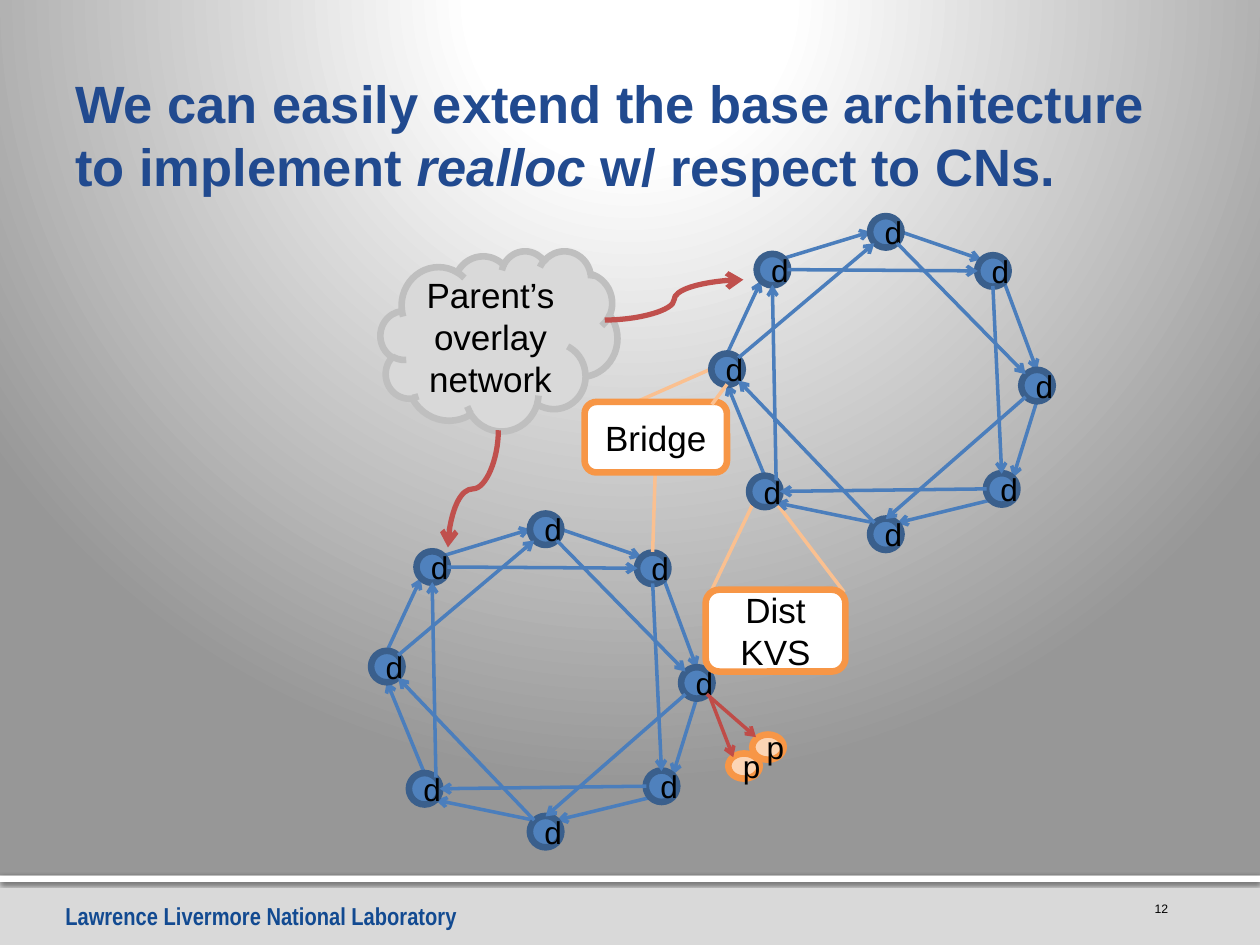
"""Build a slide showing two bridged overlay rings of daemons."""
from lxml.etree import SubElement
from pptx import Presentation
from pptx.dml.color import RGBColor
from pptx.enum.shapes import MSO_CONNECTOR as Connector, MSO_SHAPE as Shape
from pptx.enum.text import MSO_ANCHOR as Anchor, PP_ALIGN as Align
from pptx.oxml import parse_xml
from pptx.oxml.ns import nsdecls, qn
from pptx.util import Inches, Pt

COLUMNS, ROWS = 10, 7.5
CELL = Inches(1)
NODE = 0.25
BORDER = 3.78
COLORS = {
    "black": "000000", "white": "FFFFFF", "gray": "979797", "pale": "D9D9D9",
    "rim": "BFBFBF", "title": "214A8F", "footer": "124A91", "node": "4F81BD",
    "node_rim": "3A5F8C", "edge": "4B7EBC", "orange": "F79646",
    "link": "FAC090", "process": "FCD5B5", "curve": "C0504D", "spawn": "BF4C48",
}
NODES = {
    "n": (4.33, 4.2), "ne": (5.18, 4.51), "e": (5.53, 5.42), "se": (5.25, 6.24),
    "s": (4.33, 6.6), "sw": (3.37, 6.26), "w": (3.07, 5.29), "nw": (3.43, 4.5),
}
SITES = {
    "n": (0, -0.12), "ne": (0.09, -0.09), "e": (0.12, 0), "se": (0.09, 0.09),
    "s": (0, 0.12), "sw": (-0.09, 0.09), "w": (-0.12, 0), "nw": (-0.09, -0.09),
}
OUTER_EDGES = [
    ("n", "e", "ne", "nw"), ("ne", "se", "e", "n"), ("e", "s", "se", "ne"),
    ("se", "sw", "s", "ne"), ("s", "nw", "sw", "se"), ("sw", "n", "w", "s"),
    ("w", "n", "nw", "sw"), ("nw", "ne", "n", "w"),
]
INNER_EDGES = [
    ("n", "se", "e", "nw"), ("ne", "s", "se", "n"), ("e", "sw", "s", "n"),
    ("se", "w", "sw", "e"), ("s", "nw", "w", "se"), ("sw", "ne", "nw", "s"),
    ("w", "ne", "n", "sw"), ("nw", "e", "ne", "w"),
]


def color(name):
    """Return the named colour."""
    return RGBColor.from_string(COLORS[name])


def cells(*values):
    """Turn grid positions into slide lengths."""
    return [round(value * CELL) for value in values]


def write(shape, runs, size, ink="black", font="Arial", bold=False,
          align=Align.CENTER, anchor=Anchor.MIDDLE):
    """Write (text, italic) runs as one formatted paragraph."""
    frame = shape.text_frame
    frame.word_wrap = True
    frame.vertical_anchor = anchor
    paragraph = frame.paragraphs[0]
    paragraph.alignment = align
    for text, italic in runs:
        run = paragraph.add_run()
        run.text = text
        run.font.size = Pt(size)
        run.font.name = font
        run.font.bold = bold
        run.font.italic = italic
        run.font.color.rgb = color(ink)
    return frame


def add_text(slide, box, runs, size, **formatting):
    """Add a text box."""
    return write(slide.shapes.add_textbox(*cells(*box)), runs, size, **formatting)


def add_shape(slide, kind, box, fill, rim=None, text=None, size=20):
    """Add a filled preset shape with an optional rim and label."""
    shape = slide.shapes.add_shape(kind, *cells(*box))
    shape.shadow.inherit = False
    shape.fill.solid()
    shape.fill.fore_color.rgb = color(fill)
    if rim:
        shape.line.color.rgb = color(rim)
        shape.line.width = Pt(BORDER)
    else:
        shape.line.fill.background()
    if text:
        write(shape, [(text, False)], size)
    return shape


def add_line(slide, start, end, ink, width=2, arrow=True, kind=Connector.STRAIGHT):
    """Add a connector, with an arrowhead at its end unless told otherwise."""
    line = slide.shapes.add_connector(kind, *cells(*start, *end))
    line.line.color.rgb = color(ink)
    line.line.width = Pt(width)
    if arrow:
        SubElement(line.line._get_or_add_ln(), qn("a:tailEnd"), type="arrow")
    SubElement(line._element.spPr, qn("a:effectLst"))
    return line


def add_band(slide, height, fill, opacity, blur, distance):
    """Add a footer band that casts a shadow downwards."""
    band = add_shape(slide, Shape.RECTANGLE, (0, 6.95, COLUMNS, height), fill)
    effects = band._element.spPr.find(qn("a:effectLst"))
    shadow = SubElement(effects, qn("a:outerShdw"), blurRad=str(Pt(blur)),
                        dist=str(Pt(distance)), dir="5400000", rotWithShape="0")
    shade = SubElement(shadow, qn("a:srgbClr"), val=COLORS["black"])
    SubElement(shade, qn("a:alpha"), val=str(opacity * 1000))


def add_ring(slide, shift=(0, 0)):
    """Add a ring of daemons with its outer and inner edges."""
    def site(node, side):
        """Return a connection site of a node."""
        return [sum(parts) for parts in zip(NODES[node], SITES[side], shift)]

    def add_edges(edges):
        """Join pairs of nodes at their sites."""
        for source, source_side, target, target_side in edges:
            add_line(slide, site(source, source_side), site(target, target_side), "edge")

    add_edges(OUTER_EDGES)
    for x, y in NODES.values():
        box = (x + shift[0] - NODE / 2, y + shift[1] - NODE / 2, NODE, NODE)
        add_shape(slide, Shape.OVAL, box, "node", "node_rim", "d", 18)
    add_edges(INNER_EDGES)


def set_background(slide):
    """Give the slide a radial gradient from white to gray."""
    slide.background.fill.solid()
    solid = next(slide._element.iter(qn("a:solidFill")))
    stops = "".join(
        f'<a:gs pos="{share * 1000}"><a:srgbClr val="{COLORS[name]}"/></a:gs>'
        for share, name in [(0, "white"), (12, "white"), (20, "white"), (100, "gray")])
    gradient = parse_xml(
        f'<a:gradFill {nsdecls("a")} rotWithShape="1"><a:gsLst>{stops}</a:gsLst>'
        '<a:path path="circle"><a:fillToRect l="10000" t="-25000" r="10000" b="125000"/>'
        '</a:path></a:gradFill>')
    solid.getparent().replace(solid, gradient)


def add_frame(slide):
    """Add the footer and the title."""
    add_band(slide, 0.55, "pale", 38, 3.1, 2)
    add_band(slide, 0.05, "white", 60, 2.5, 0.8)
    add_text(slide, (0.42, 7.1, 3.34, 0.34),
             [("Lawrence Livermore National Laboratory", False)], 14, ink="footer",
             font="Arial Narrow", bold=True, align=Align.LEFT, anchor=Anchor.TOP)
    add_text(slide, (8.98, 7.1, 0.39, 0.17), [("12", False)], 7,
             align=Align.RIGHT, anchor=Anchor.TOP)
    title = add_text(
        slide, (0.5, 0.24, 9, 1.37),
        [("We can easily extend the base architecture to implement ", False),
         ("realloc ", True), ("w/ respect to CNs.", False)],
        30, ink="title", bold=True, align=Align.LEFT, anchor=Anchor.BOTTOM)
    title.margin_right = Inches(0.05)


def add_callout(slide, box, text, links):
    """Add a rounded label with its link lines behind it."""
    for start, end in links:
        add_line(slide, start, end, "link", arrow=False)
    add_shape(slide, Shape.ROUNDED_RECTANGLE, box, "white", "orange", text)


def main():
    """Build and save the slide."""
    presentation = Presentation()
    presentation.slide_width, presentation.slide_height = cells(COLUMNS, ROWS)
    slide = presentation.slides.add_slide(presentation.slide_layouts[6])
    set_background(slide)
    add_frame(slide)
    add_shape(slide, Shape.CLOUD, (3.02, 1.99, 1.88, 1.43), "pale", "rim",
              "Parent’s overlay network")
    descent = add_line(slide, (3.29, 3.68), (4.22, 4.08), "curve", 3, kind=Connector.CURVE)
    descent._element.spPr.find(qn("a:xfrm")).set("rot", "5400000")
    add_ring(slide)
    add_callout(slide, (4.64, 3.19, 1.13, 0.56), "Bridge",
                [((5.18, 4.38), (5.2, 3.75)), ((5.64, 2.93), (5.05, 3.19))])
    add_callout(slide, (5.6, 4.68, 1.11, 0.65), "Dist KVS",
                [((5.98, 3.99), (5.65, 4.68)), ((6.16, 3.99), (6.7, 4.7))])
    add_line(slide, (4.8, 2.54), (5.9, 2.22), "curve", 3, kind=Connector.CURVE)
    add_ring(slide, shift=(2.7, -2.36))
    add_line(slide, (5.77, 3.05), (5.65, 3.21), "link", arrow=False)
    for left, top in [(5.97, 5.83), (5.78, 5.98)]:
        add_shape(slide, Shape.OVAL, (left, top, NODE, 0.2), "process", "orange", "p", 18)
    for start, end in [((5.61, 5.51), (6, 5.85)), ((5.63, 5.52), (5.82, 6.01))]:
        add_line(slide, start, end, "spawn")
    presentation.save("out.pptx")


if __name__ == "__main__":
    main()
